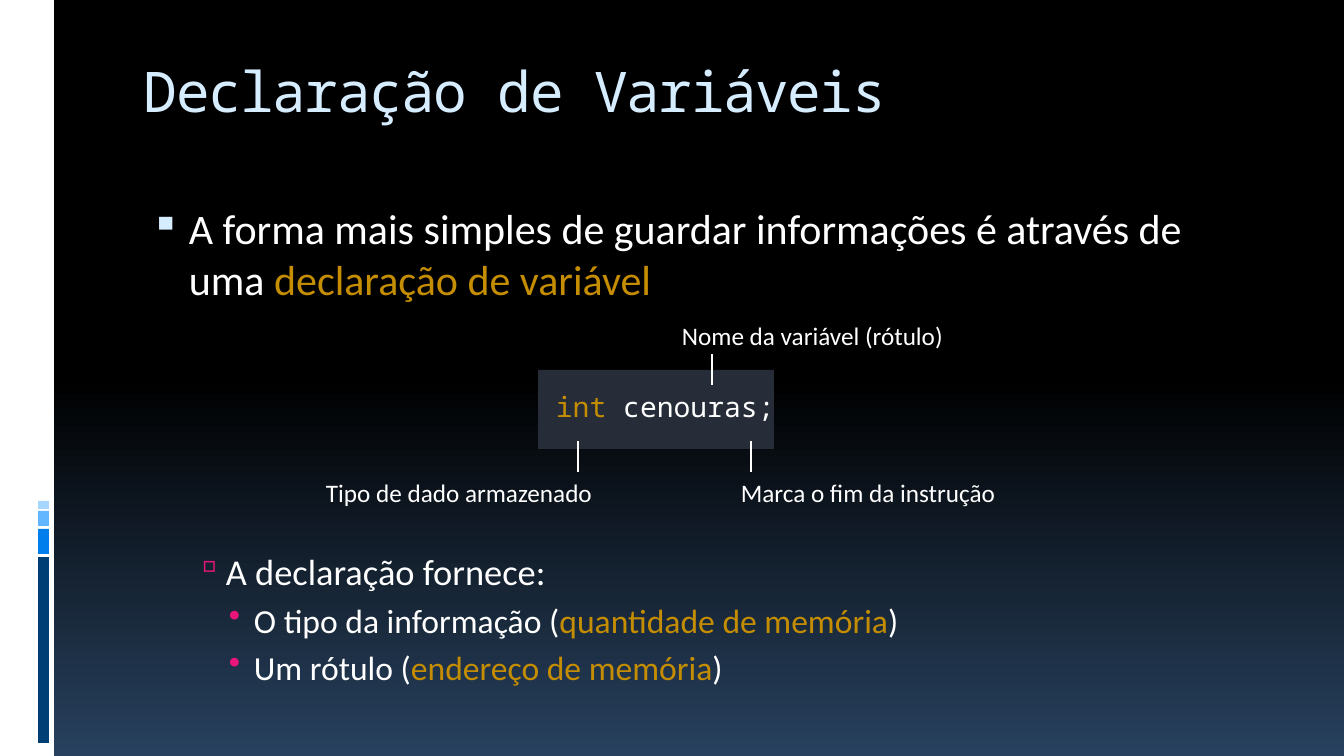
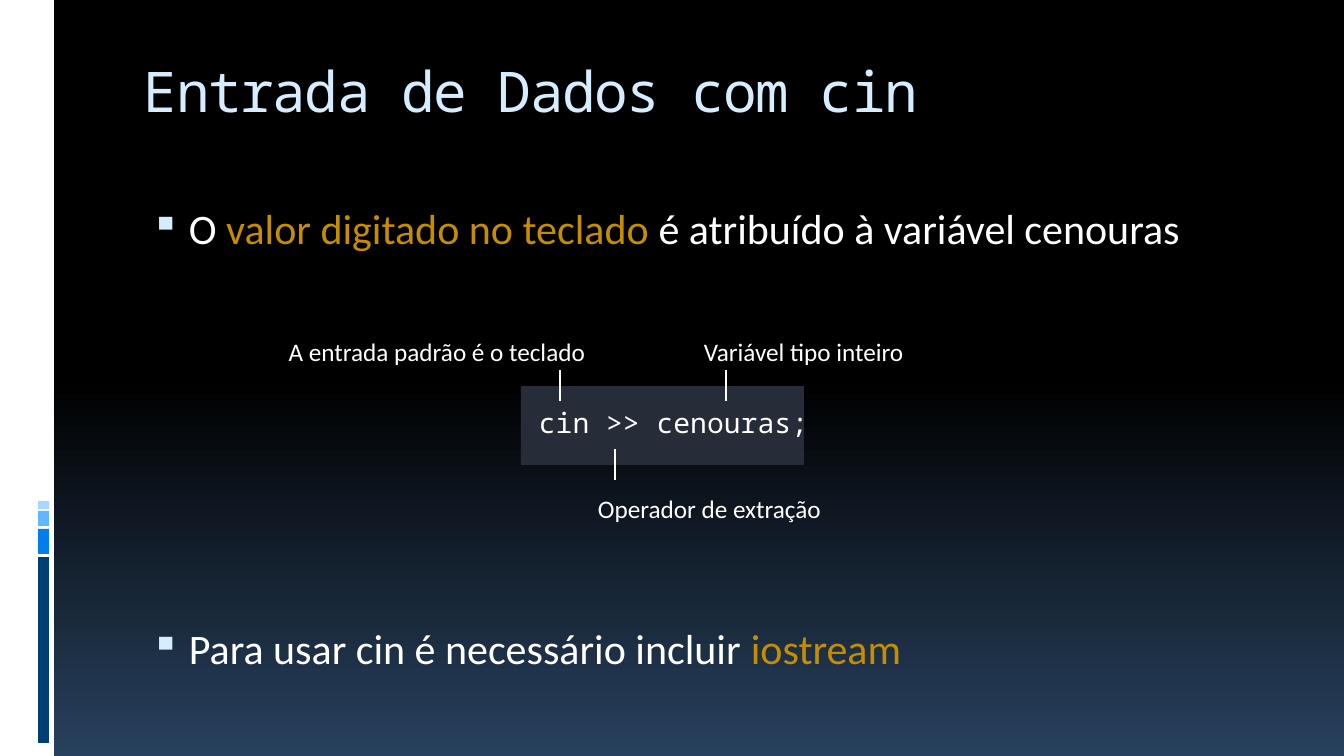
import pptx
import pptx.util
import pptx.dml.color
import pptx.enum.shapes
import pptx.enum.text
import pptx.oxml.ns
from lxml import etree

RGB = pptx.dml.color.RGBColor
ALIGN = pptx.enum.text.PP_ALIGN
EMU_PER_PX = 914400 / 100.8

WHITE = RGB(0xFF, 0xFF, 0xFF)
BLACK = RGB(0x00, 0x00, 0x00)
NIGHT_BLUE = RGB(0x28, 0x41, 0x5E)
PALE_BLUE = RGB(0xD6, 0xEC, 0xFF)
GOLD = RGB(0xC5, 0x8D, 0x01)
PINK = RGB(0xEA, 0x15, 0x7A)
PANEL = RGB(0x27, 0x2D, 0x38)

# top, height and colour of the marks on the side band
SIDE_MARKS = (
    (557, 186, RGB(0x00, 0x3F, 0x75)),
    (529, 25, RGB(0x00, 0x7E, 0xEB)),
    (511, 15, RGB(0x61, 0xB6, 0xFF)),
    (501, 8, RGB(0xA7, 0xD6, 0xFF)),
)
TITLE_BOX = (134, 52, 1142, 101)
BODY_BOX = (134, 198, 1142, 530)

TITLE_FONT = {"name": "Noto Sans Mono", "size": pptx.util.Pt(40)}
CODE_FONT = {"name": "Noto Sans Mono", "size": pptx.util.Pt(20)}
LABEL_FONT = {"name": "Calibri", "size": pptx.util.Pt(18)}

# text size, left margin and hanging indent in px, then the bullet
BODY_LEVELS = (
    {"size": 30, "margin": 45, "hang": 38, "mark": "▪", "color": PALE_BLUE, "percent": 95},
    {"size": 26, "margin": 82, "hang": 31, "mark": "▫", "color": PINK, "percent": 90},
    {"size": 24, "margin": 110, "hang": 25, "mark": "•", "color": PINK, "percent": 100},
)

PANEL_HEIGHT = 79
TICK_LENGTH = 31
LABEL_HEIGHT = 40
LABEL_ABOVE, LABEL_BELOW = -55, 102


def px(length):
    return pptx.util.Emu(round(length * EMU_PER_PX))


def add_rect(slide, box, color):
    rect = slide.shapes.add_shape(
        pptx.enum.shapes.MSO_SHAPE.RECTANGLE, *map(px, box))
    rect.shadow.inherit = False
    rect.fill.solid()
    rect.fill.fore_color.rgb = color
    rect.line.fill.background()


def add_frame(slide, box):
    frame = slide.shapes.add_textbox(*map(px, box)).text_frame
    frame.word_wrap = True
    return frame


def add_runs(paragraph, runs, font):
    for text, color in runs:
        run = paragraph.add_run()
        run.text = text
        for key, value in font.items():
            setattr(run.font, key, value)
        run.font.color.rgb = color


def add_line_of_text(slide, box, runs, font, align=ALIGN.LEFT):
    paragraph = add_frame(slide, box).paragraphs[0]
    paragraph.alignment = align
    add_runs(paragraph, runs, font)
    return paragraph


def set_bullet(paragraph, level):
    properties = paragraph._p.get_or_add_pPr()
    properties.set("marL", str(px(level["margin"])))
    properties.set("indent", str(-px(level["hang"])))
    qn = pptx.oxml.ns.qn
    color = etree.SubElement(properties, qn("a:buClr"))
    etree.SubElement(color, qn("a:srgbClr")).set("val", str(level["color"]))
    size = etree.SubElement(properties, qn("a:buSzPct"))
    size.set("val", str(level["percent"] * 1000))
    etree.SubElement(properties, qn("a:buChar")).set("char", level["mark"])


def draw_backdrop(slide):
    fill = slide.background.fill
    fill.gradient()
    fill.gradient_angle = 270
    for stop, position, color in zip(
            fill.gradient_stops, (0.5, 1), (BLACK, NIGHT_BLUE)):
        stop.position = position
        stop.color.rgb = color
    add_rect(slide, (0, 0, 54, 756), WHITE)
    for top, height, color in SIDE_MARKS:
        add_rect(slide, (38, top, 11, height), color)


def draw_title(slide, title):
    paragraph = add_line_of_text(
        slide, TITLE_BOX, [(title, PALE_BLUE)], TITLE_FONT)
    for run in paragraph.runs:
        run.font._element.set("spc", "-100")


def draw_body(slide, box, items):
    """Each item is a level, the space before in points, and coloured runs."""
    frame = add_frame(slide, box)
    for index, (depth, space, runs) in enumerate(items):
        paragraph = frame.add_paragraph() if index else frame.paragraphs[0]
        level = BODY_LEVELS[depth]
        set_bullet(paragraph, level)
        if index:
            paragraph.space_before = pptx.util.Pt(space)
        font = {"name": "Calibri", "size": pptx.util.Pt(level["size"])}
        add_runs(paragraph, runs, font)


def draw_tick(slide, x, top):
    tick = slide.shapes.add_connector(
        pptx.enum.shapes.MSO_CONNECTOR.STRAIGHT,
        px(x), px(top), px(x), px(top + TICK_LENGTH))
    tick.line.color.rgb = WHITE
    tick.line.width = pptx.util.Pt(0.94)
    etree.SubElement(tick._element.spPr, pptx.oxml.ns.qn("a:effectLst"))


def draw_code(slide, left, top, width, code, callouts):
    """Draw a code panel; callout places are relative to its top left corner."""
    add_rect(slide, (left, top, width, PANEL_HEIGHT), PANEL)
    add_line_of_text(
        slide, (left + 8, top + 15, width + 30, 44), code, CODE_FONT)
    for text, (x, y, label_width), align, (tick_x, tick_y) in callouts:
        add_line_of_text(
            slide, (left + x, top + y, label_width, LABEL_HEIGHT),
            [(text, WHITE)], LABEL_FONT, align)
        draw_tick(slide, left + tick_x, top + tick_y)


SLIDES = (
    {
        "title": "Declaração de Variáveis",
        "body": (
            (0, 0, [("A forma mais simples de guardar informações é através de uma ", WHITE),
                    ("declaração de variável", GOLD)]),
            (1, 175, [("A declaração fornece:", WHITE)]),
            (2, 5, [("O tipo da informação (", WHITE),
                    ("quantidade de memória", GOLD), (")", WHITE)]),
            (2, 5, [("Um rótulo (", WHITE),
                    ("endereço de memória", GOLD), (")", WHITE)]),
        ),
        "panel": (538, 370, 236),
        "code": [("int", GOLD), (" cenouras;", WHITE)],
        "callouts": (
            ("Nome da variável (rótulo)", (134, LABEL_ABOVE, 287), ALIGN.LEFT, (174, -16)),
            ("Tipo de dado armazenado", (-230, LABEL_BELOW, 294), ALIGN.RIGHT, (40, 71)),
            ("Marca o fim da instrução", (189, LABEL_BELOW, 278), ALIGN.RIGHT, (213, 71)),
        ),
    },
    {
        "title": "Entrada de Dados com cin",
        "body": (
            (0, 0, [("O ", WHITE), ("valor digitado no teclado ", GOLD),
                    ("é atribuído à variável cenouras", WHITE)]),
            (0, 264, [("Para usar cin é necessário incluir ", WHITE),
                      ("iostream", GOLD)]),
        ),
        "panel": (521, 386, 283),
        "code": [("cin >> cenouras;", WHITE)],
        "callouts": (
            ("Variável tipo inteiro", (173, LABEL_ABOVE, 226), ALIGN.LEFT, (205, -16)),
            ("A entrada padrão é o teclado", (-262, LABEL_ABOVE, 336), ALIGN.RIGHT, (39, -16)),
            ("Operador de extração", (67, LABEL_BELOW, 250), ALIGN.LEFT, (94, 63)),
        ),
    },
)


def main():
    deck = pptx.Presentation()
    deck.slide_width, deck.slide_height = px(1344), px(756)
    for content in SLIDES:
        slide = deck.slides.add_slide(deck.slide_layouts[6])
        draw_backdrop(slide)
        draw_title(slide, content["title"])
        draw_body(slide, BODY_BOX, content["body"])
        draw_code(slide, *content["panel"], content["code"], content["callouts"])
    deck.save("out.pptx")


if __name__ == "__main__":
    main()
